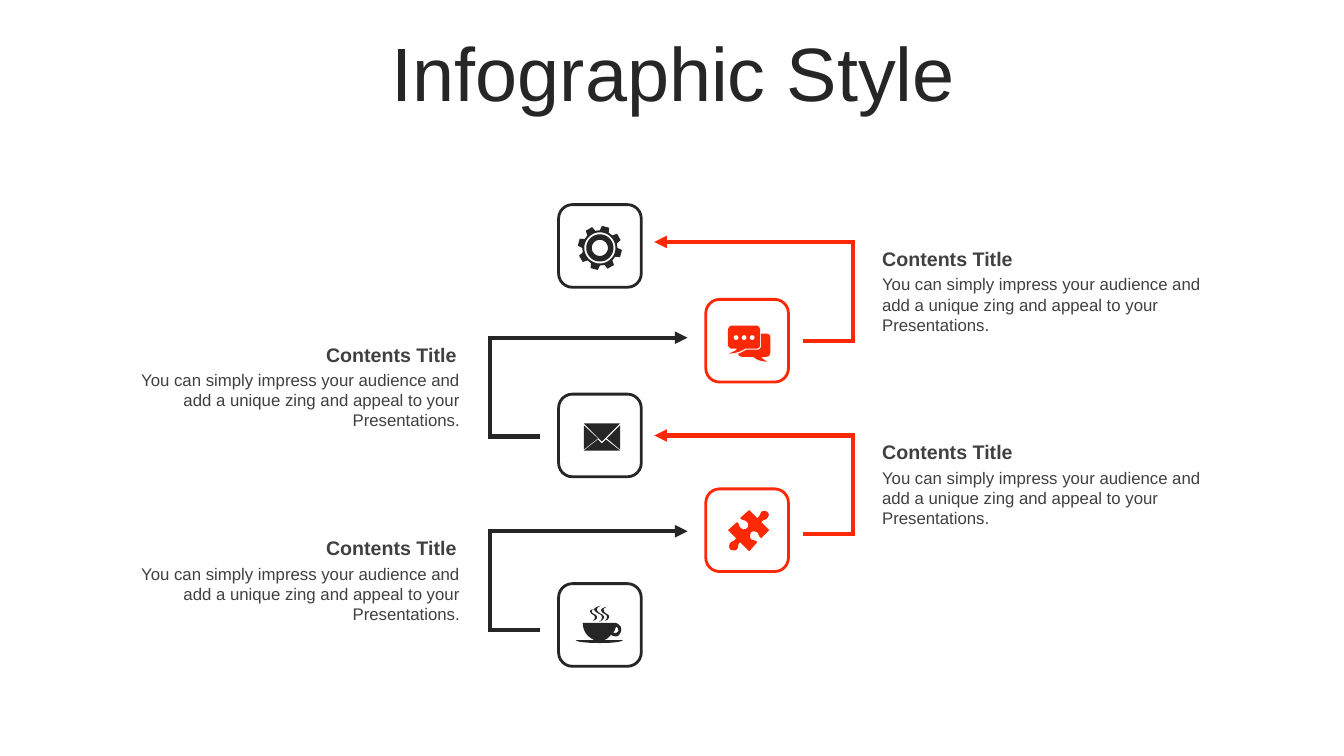
from dataclasses import dataclass
from math import cos, radians, sin

from lxml import etree
from pptx import Presentation
from pptx.dml.color import RGBColor
from pptx.enum.shapes import MSO_SHAPE
from pptx.enum.text import MSO_ANCHOR, MSO_AUTO_SIZE, PP_ALIGN
from pptx.oxml.ns import qn
from pptx.util import Inches, Pt

LEFT, CENTER, RIGHT = PP_ALIGN.LEFT, PP_ALIGN.CENTER, PP_ALIGN.RIGHT
MIDDLE, GROW = MSO_ANCHOR.MIDDLE, MSO_AUTO_SIZE.SHAPE_TO_FIT_TEXT
ROUND = MSO_SHAPE.ROUNDED_RECTANGLE

Point = tuple[float, float]
Loop = list[Point]


@dataclass(frozen=True)
class Theme:
    font: str = "Arial"
    dark: RGBColor = RGBColor(0x26, 0x26, 0x26)
    red: RGBColor = RGBColor(0xFD, 0x29, 0x06)
    text: RGBColor = RGBColor(0x40, 0x40, 0x40)
    title: Pt = Pt(54)
    head: Pt = Pt(14)
    body: Pt = Pt(12)
    frame: Pt = Pt(2)
    arrow: Pt = Pt(3)


@dataclass(frozen=True)
class Side:
    """Arrow corners across, text edge and look of one side."""
    tip: float
    bend: float
    tail: float
    text: float
    align: PP_ALIGN
    color: RGBColor


@dataclass(frozen=True)
class Step:
    top: float
    side: Side


@dataclass(frozen=True)
class Tile:
    left: float
    color: RGBColor
    icon: list[Loop]


def ring(x: float, y: float, radius: float, count: int = 36) -> Loop:
    turns = [radians(360 * i / count) for i in range(count)]
    return [(x + radius * cos(a), y + radius * sin(a)) for a in turns]


def gear(x: float, y: float) -> list[Loop]:
    """Eight teeth around three nested circles."""
    corners = [(-15, 17.5), (-9.5, 22), (9.5, 22), (15, 17.5)]
    teeth = [(x + r * cos(radians(15 + 45 * i + turn)),
              y + r * sin(radians(15 + 45 * i + turn)))
             for i in range(8) for turn, r in corners]
    return [teeth] + [ring(x, y, r) for r in (15.5, 13.5, 8)]


def curve(a: Point, b: Point, c: Point, d: Point, count: int = 6) -> Loop:
    """Points along a cubic curve, without its start."""
    points = []
    for i in range(1, count + 1):
        t = i / count
        parts = ((1 - t) ** 3, 3 * t * (1 - t) ** 2, 3 * t * t * (1 - t), t ** 3)
        points.append((sum(k * p[0] for k, p in zip(parts, (a, b, c, d))),
                       sum(k * p[1] for k, p in zip(parts, (a, b, c, d)))))
    return points


def pairs(text: str) -> Loop:
    nums = [float(n) for n in text.split()]
    return list(zip(nums[::2], nums[1::2]))


def trace(path: str) -> list[Loop]:
    """Turn M, L and C commands into closed loops of points."""
    loops = []
    for part in path.split("M")[1:]:
        start, *legs = part.replace("L", "|L").replace("C", "|C").split("|")
        loop = pairs(start)
        for leg in legs:
            points = pairs(leg[1:])
            if leg[0] == "L":
                loop += points
            else:
                for i in range(0, len(points), 3):
                    loop += curve(loop[-1], *points[i:i + 3])
        loops.append(loop)
    return loops


# Icon outlines in hundredths of an inch from the tile corner
MAIL = trace("M 47 45 L 61 56 25 56 39 45 43 49 M 61 31 L 61 55 48 44 "
             "M 25 31 L 39 44 25 55 M 25 29 L 61 29 43 47")
CHAT = trace(
    "M 55 34 L 60 34 C 63 34 64 36 64 38 L 64 52 C 64 55 63 57 60 57 L 55 57 "
    "C 56 58 56 59 61 62 52 61 51 60 47 57 L 36 57 C 35 57 33 57 32 54 "
    "35 53 37 52 40 50 L 51 50 C 53 50 55 48 55 46 "
    "M 26 26 L 50 26 C 52 26 54 28 54 31 L 54 45 C 54 47 52 49 50 49 L 39 49 "
    "C 34 52 32 53 23 54 28 51 29 52 31 49 L 26 49 C 24 49 22 47 22 45 "
    "L 22 31 C 22 28 24 26 26 26") + [ring(x, 38, 2.4) for x in (30, 38, 46)]
PUZZLE = trace(
    "M 61 23 C 63 24 63 27 61 29 60 31 57 30 55 33 L 63 41 55 49 "
    "C 52 47 53 45 51 43 49 42 46 42 45 43 44 45 43 48 45 50 48 52 49 50 51 53 "
    "L 43 62 34 53 C 31 56 33 57 31 60 29 62 26 61 24 60 23 58 23 56 24 54 "
    "26 51 28 53 30 49 L 22 41 31 33 C 34 35 32 37 35 39 37 41 39 40 41 39 "
    "42 38 43 35 41 33 38 30 37 32 34 29 L 43 21 51 29 "
    "C 54 27 53 26 55 23 57 21 60 22 61 23")
CUP = trace(
    "M 57 43 C 56 45 56 47 54 49 55 49 56 49 57 49 59 48 60 47 59 45 "
    "59 44 58 43 57 43 "
    "M 57 39 C 59 40 62 42 62 44 63 47 61 50 59 52 57 53 54 52 52 51 "
    "51 52 50 53 49 54 48 55 47 55 46 56 L 64 56 C 63 58 53 59 41 59 "
    "28 59 18 58 17 56 L 35 56 C 34 55 33 55 32 54 27 51 24 45 24 39 "
    "M 36 25 C 34 26 33 26 33 28 34 31 39 30 38 34 38 35 37 36 34 37 "
    "36 35 36 35 36 33 36 31 33 31 32 29 30 27 32 26 36 25 "
    "M 48 23 C 46 24 44 25 45 27 45 30 51 30 50 33 50 35 49 36 46 37 "
    "48 35 48 34 48 33 48 30 44 30 43 28 41 26 43 24 48 23 "
    "M 42 22 C 40 23 38 24 38 26 39 30 46 30 45 34 44 36 43 37 40 38 "
    "42 37 43 36 43 33 43 30 38 30 36 27 34 25 37 23 42 22")

THEME = Theme()
EAST = Side(6.49, 8.46, 7.96, 8.63, LEFT, THEME.red)
WEST = Side(6.82, 4.86, 5.36, 1.22, RIGHT, THEME.dark)
STEPS = [Step(2.4, EAST), Step(3.35, WEST), Step(4.32, EAST), Step(5.27, WEST)]
TILES = [Tile(5.54, THEME.dark, gear(41, 43)), Tile(7, THEME.red, CHAT),
         Tile(5.54, THEME.dark, MAIL), Tile(7, THEME.red, PUZZLE),
         Tile(5.54, THEME.dark, CUP)]
FIRST, PITCH, SIZE = 2.03, 0.94, 0.82
HEAD = "Contents Title"
BODY = ("You can simply impress your audience and add a unique zing "
        "and appeal to your Presentations.")


def outline(slide, loops: list[Loop], close: bool):
    """Draw loops of inch points as one freeform."""
    spots = [[(Inches(x), Inches(y)) for x, y in loop] for loop in loops]
    pen = slide.shapes.build_freeform(*spots[0][0], scale=1.0)
    for i, loop in enumerate(spots):
        if i:
            pen.move_to(*loop[0])
        pen.add_line_segments(loop[1:], close=close)
    shape = pen.convert_to_shape()
    shape.shadow.inherit = False
    return shape


def stroke(shape, color: RGBColor, width: Pt) -> None:
    shape.fill.background()
    shape.line.color.rgb = color
    shape.line.width = width


def draw_tile(slide, tile: Tile, top: float) -> None:
    box = slide.shapes.add_shape(ROUND, Inches(tile.left), Inches(top),
                                 Inches(SIZE), Inches(SIZE))
    box.shadow.inherit = False
    stroke(box, tile.color, THEME.frame)
    loops = [[(tile.left + x / 100, top + y / 100) for x, y in loop]
             for loop in tile.icon]
    icon = outline(slide, loops, True)
    icon.fill.solid()
    icon.fill.fore_color.rgb = tile.color
    icon.line.fill.background()


def draw_arrow(slide, step: Step) -> None:
    side, low = step.side, step.top + 0.98
    shape = outline(slide, [[(side.tip, step.top), (side.bend, step.top),
                             (side.bend, low), (side.tail, low)]], False)
    stroke(shape, side.color, THEME.arrow)
    line = shape.line._get_or_add_ln()
    etree.SubElement(line, qn("a:miter"), lim="800000")
    etree.SubElement(line, qn("a:headEnd"), type="triangle")


def write(frame, text: str, size: Pt, color: RGBColor, align: PP_ALIGN) -> None:
    frame.word_wrap = True
    frame.text = text
    para = frame.paragraphs[0]
    para.alignment = align
    para.font.name, para.font.size = THEME.font, size
    para.font.color.rgb = color


def draw_text(slide, step: Step) -> None:
    side = step.side
    body = slide.shapes.add_textbox(Inches(side.text + 0.02), Inches(step.top + 0.27),
                                    Inches(3.42), Inches(0.71)).text_frame
    head = slide.shapes.add_textbox(Inches(side.text), Inches(step.top),
                                    Inches(3.43), Inches(0.34)).text_frame
    write(body, BODY, THEME.body, THEME.text, side.align)
    write(head, HEAD, THEME.head, THEME.text, side.align)
    body.auto_size = head.auto_size = GROW
    head.margin_left = head.margin_right = Inches(0.12)
    head.paragraphs[0].font.bold = True


def draw_title(slide) -> None:
    title = slide.shapes.title
    title.left, title.top = Inches(0.35), Inches(0.37)
    title.width, title.height = Inches(12.66), Inches(0.79)
    frame = title.text_frame
    write(frame, "Infographic Style", THEME.title, THEME.dark, CENTER)
    frame.auto_size = MSO_AUTO_SIZE.NONE
    frame.vertical_anchor = MIDDLE
    frame.paragraphs[0].line_spacing = 0.9


def main() -> None:
    deck = Presentation()
    deck.slide_width, deck.slide_height = Inches(13.33), Inches(7.5)
    slide = deck.slides.add_slide(deck.slide_layouts[5])
    draw_title(slide)
    for i, tile in enumerate(TILES):
        draw_tile(slide, tile, FIRST + PITCH * i)
    for step in STEPS:
        draw_arrow(slide, step)
        draw_text(slide, step)
    deck.save("out.pptx")


if __name__ == "__main__":
    main()
